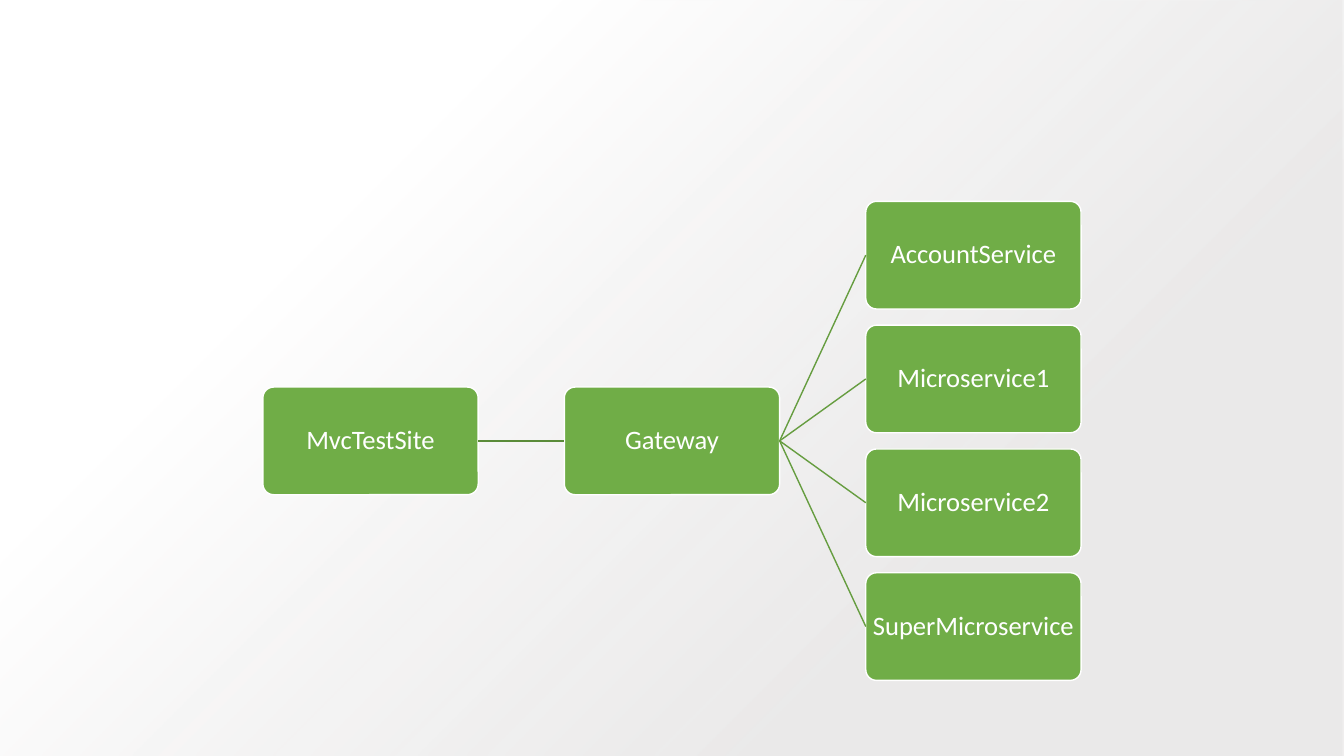
"""Build a slide showing a test site, its gateway and the services behind it."""
import pptx
import pptx.util
import pptx.dml.color
import pptx.enum.shapes
import pptx.enum.text
import pptx.oxml
from pptx.oxml import ns

SITE, GATEWAY = "MvcTestSite", "Gateway"
SERVICES = ["AccountService", "Microservice1", "Microservice2", "SuperMicroservice"]

THEME = {
    "font": "Calibri", "size": 19, "text": "FFFFFF",
    "box": "70AD47", "border": "FFFFFF",
    "trunk": "5A8B39", "branch": "669D40", "line": 1,
    "light": "FFFFFF", "shade": "E7E6E6", "shade_alpha": 84,
}
Pt = pptx.util.Pt
SHAPES = pptx.enum.shapes.MSO_SHAPE
WIDTH, HEIGHT = 960, 540
BOX_HEIGHT = 76.9
BOX_WIDTH = 2 * BOX_HEIGHT
COLUMN_STEP = 1.4 * BOX_WIDTH
ROW_STEP = 1.15 * BOX_HEIGHT
LEFT, TOP = 187.8, 143.8


def color(name):
    return pptx.dml.color.RGBColor.from_string(THEME[name])


def write(shape, text, *, size, fill, font, spacing=0.9):
    frame = shape.text_frame
    frame.word_wrap = True
    frame.vertical_anchor = pptx.enum.text.MSO_ANCHOR.MIDDLE
    frame.margin_left = frame.margin_right = Pt(1)
    frame.margin_top = frame.margin_bottom = Pt(1)
    para = frame.paragraphs[0]
    para.alignment = pptx.enum.text.PP_ALIGN.CENTER
    para.line_spacing = spacing
    span = para.add_run()
    span.text = text
    span.font.name = font
    span.font.size = Pt(size)
    span.font.color.rgb = color(fill)


def add_backdrop(page):
    backdrop = page.shapes.add_shape(SHAPES.RECTANGLE, 0, 0, Pt(WIDTH), Pt(HEIGHT))
    backdrop.shadow.inherit = False
    backdrop.line.fill.background()
    backdrop.fill.gradient()
    backdrop.fill.gradient_angle = 315
    stops = backdrop.fill.gradient_stops
    for stop, position, name in zip(stops, (0.26, 0.72), ("light", "shade")):
        stop.position = position
        stop.color.rgb = color(name)
    shade = backdrop.element.findall(".//" + ns.qn("a:gs"))[-1][0]
    alpha = pptx.oxml.parse_xml(f'<a:alpha {ns.nsdecls("a")}/>')
    alpha.set("val", str(THEME["shade_alpha"] * 1000))
    shade.append(alpha)


def add_box(page, text, column, row):
    box = page.shapes.add_shape(
        SHAPES.ROUNDED_RECTANGLE,
        Pt(LEFT + column * COLUMN_STEP), Pt(TOP + row * ROW_STEP),
        Pt(BOX_WIDTH), Pt(BOX_HEIGHT))
    box.adjustments[0] = 0.1
    box.shadow.inherit = False
    box.fill.solid()
    box.fill.fore_color.rgb = color("box")
    box.line.color.rgb = color("border")
    box.line.width = Pt(THEME["line"])
    write(box, text, size=THEME["size"], fill="text", font=THEME["font"])
    return box


def link(page, parent, child, name):
    line = page.shapes.add_connector(pptx.enum.shapes.MSO_CONNECTOR.STRAIGHT, 0, 0, 0, 0)
    line.begin_connect(parent, 3)
    line.end_connect(child, 1)
    line.line.color.rgb = color(name)
    line.line.width = Pt(THEME["line"])
    effects = pptx.oxml.parse_xml(f'<a:effectLst {ns.nsdecls("a")}/>')
    line.element.spPr.append(effects)


deck = pptx.Presentation()
deck.slide_width, deck.slide_height = Pt(WIDTH), Pt(HEIGHT)
page = deck.slides.add_slide(deck.slide_layouts[6])
add_backdrop(page)

middle = (len(SERVICES) - 1) / 2
site = add_box(page, SITE, 0, middle)
gateway = add_box(page, GATEWAY, 1, middle)
link(page, site, gateway, "trunk")
for row, service in enumerate(SERVICES):
    link(page, gateway, add_box(page, service, 2, row), "branch")

deck.save("out.pptx")
